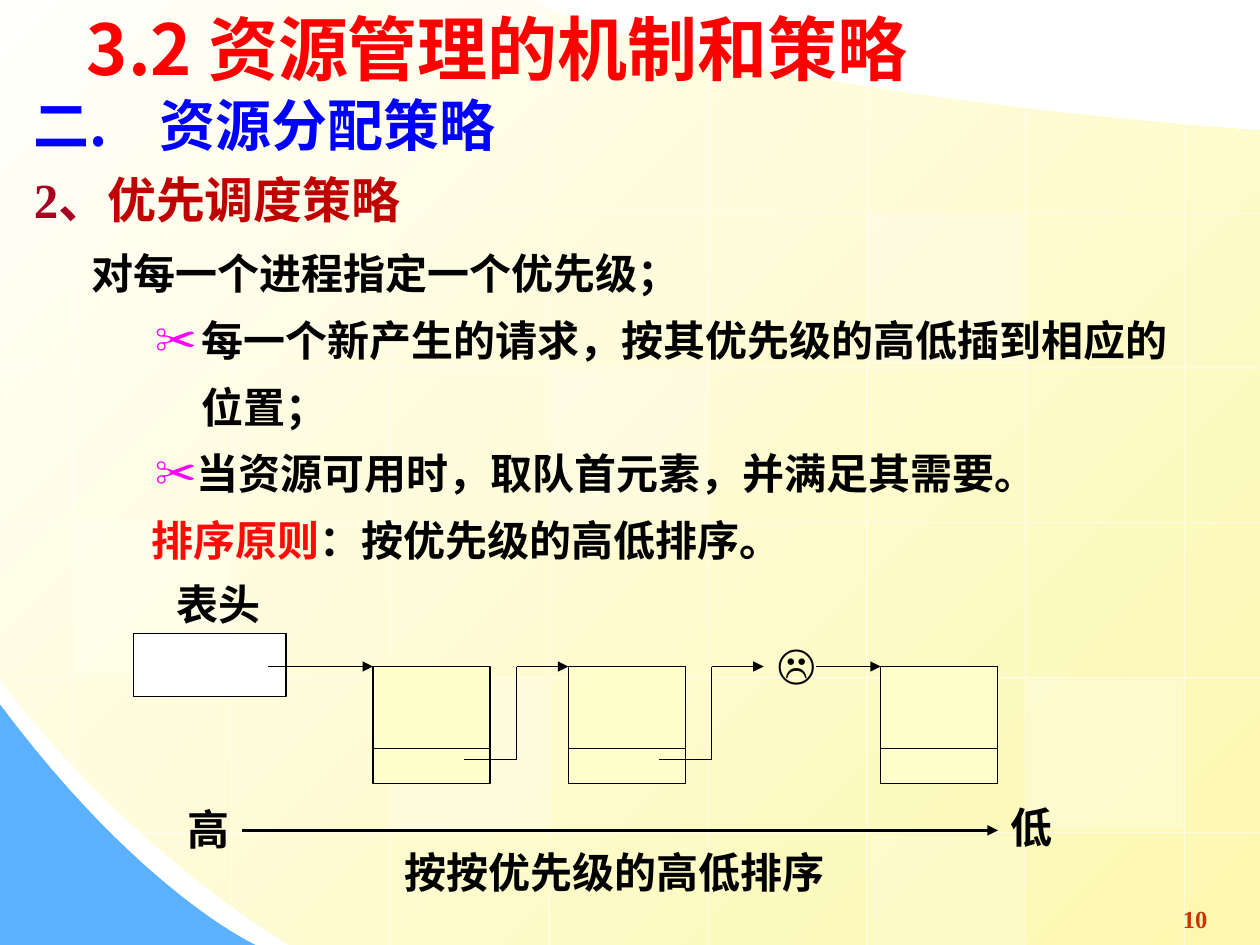
import pptx
import pptx.dml.color
import pptx.enum.dml
import pptx.enum.shapes
import pptx.enum.text
import pptx.oxml.ns
import pptx.util
from lxml import etree
from pptx.util import Inches

HAN = "Noto Sans CJK SC"
ROMAN = "Times New Roman"
SHAPES = pptx.enum.shapes.MSO_SHAPE
ANCHOR = pptx.enum.text.MSO_ANCHOR
qn = pptx.oxml.ns.qn


def color(hex_text):
    """Turn a hex string into a colour."""
    return pptx.dml.color.RGBColor.from_string(hex_text)


def set_alpha(shape, percent):
    """Make the colours of a shape partly transparent."""
    for node in shape.element.iter(qn("a:srgbClr")):
        etree.SubElement(node, qn("a:alpha"), val=str(percent * 1000))


def add_line(page, start, end, width=0.75, line="000000", arrow=False):
    """Draw a straight line, with an arrowhead at its end if asked."""
    points = [Inches(value) for value in (*start, *end)]
    connector = page.shapes.add_connector(pptx.enum.shapes.MSO_CONNECTOR.STRAIGHT, *points)
    connector.line.color.rgb = color(line)
    connector.line.width = pptx.util.Pt(width)
    if arrow:
        outline = connector.element.spPr.find(qn("a:ln"))
        etree.SubElement(outline, qn("a:tailEnd"), type="triangle")
    etree.SubElement(connector.element.spPr, qn("a:effectLst"))
    return connector


def add_rectangle(page, box, fill, line=None):
    """Draw a flat rectangle in a box of left, top, width and height."""
    shape = page.shapes.add_shape(SHAPES.RECTANGLE, *map(Inches, box))
    shape.shadow.inherit = False
    shape.fill.solid()
    shape.fill.fore_color.rgb = color(fill)
    if line:
        shape.line.color.rgb = color(line)
        shape.line.width = pptx.util.Pt(0.75)
    else:
        shape.line.fill.background()
    return shape


def add_outline(page, points):
    """Build a closed borderless outline from points in inches."""
    corners = [(Inches(x), Inches(y)) for x, y in points]
    builder = page.shapes.build_freeform(*corners[0], scale=1.0)
    builder.add_line_segments(corners[1:], close=True)
    shape = builder.convert_to_shape()
    shape.shadow.inherit = False
    shape.line.fill.background()
    return shape


def curve(*controls, steps=24):
    """Sample a cubic curve given by four control points."""
    weights = (1, 3, 3, 1)
    return [
        tuple(
            sum(w * (1 - t) ** (3 - k) * t ** k * controls[k][axis] for k, w in enumerate(weights))
            for axis in (0, 1)
        )
        for t in (step / steps for step in range(steps + 1))
    ]


def add_span(para, text, size, ink="000000", font=ROMAN, asian=HAN):
    """Append bold formatted text to a paragraph."""
    span = para.add_run()
    span.text = text
    span.font.size = pptx.util.Pt(size)
    span.font.bold = True
    span.font.name = font
    span.font.color.rgb = color(ink)
    etree.SubElement(span.font._element, qn("a:ea"), typeface=asian)


def set_layout(para, line_height, left=0, indent=0, bullet=None, tab=None):
    """Set line height, indents, bullet and tab stop of a paragraph."""
    para.alignment = pptx.enum.text.PP_ALIGN.LEFT
    para.line_spacing = pptx.util.Pt(line_height)
    para.space_before = pptx.util.Pt(0)
    properties = para._p.get_or_add_pPr()
    properties.set("marL", str(Inches(left)))
    properties.set("indent", str(Inches(indent)))
    if bullet:
        tint = etree.SubElement(properties, qn("a:buClr"))
        etree.SubElement(tint, qn("a:srgbClr"), val="FF00FF")
        etree.SubElement(properties, qn("a:buChar"), char=bullet)
    else:
        etree.SubElement(properties, qn("a:buNone"))
    if tab:
        stops = etree.SubElement(properties, qn("a:tabLst"))
        etree.SubElement(stops, qn("a:tab"), pos=str(Inches(tab)), algn="l")


def place(shape, box, anchor=ANCHOR.TOP, wrap=True):
    """Move a text shape to a box and return its text frame."""
    shape.left, shape.top, shape.width, shape.height = map(Inches, box)
    frame = shape.text_frame
    frame.word_wrap = wrap
    frame.auto_size = pptx.enum.text.MSO_AUTO_SIZE.NONE
    frame.vertical_anchor = anchor
    return frame


def add_label(page, box, text, size=24, ink="000000", anchor=ANCHOR.MIDDLE, font=ROMAN, asian=HAN):
    """Add a one-line label."""
    frame = place(page.shapes.add_textbox(0, 0, 0, 0), box, anchor, wrap=False)
    add_span(frame.paragraphs[0], text, size, ink, font, asian)


def add_backdrop(page, box):
    """Draw the curved yellow field, blue corner, grid and pale tiles."""
    left, top, width, height = box
    right, bottom = left + width, top + height
    field = add_outline(page, [
        (right, bottom),
        *curve((2.3, bottom), (0.86, 6.61), (left, 5.39), (left, 5.39)),
        (left, top),
        *curve((4.21, top), (4.21, top), (5.37, 0.69), (right, 1.04)),
    ])
    field.fill.gradient()
    field.fill.gradient_angle = 315
    for stop, shade, position in zip(field.fill.gradient_stops, ("FFFFFB", "FDF8AF"), (0, 1)):
        stop.color.rgb = color(shade)
        stop.position = position
    corner = add_outline(page, [
        (left, 5.59), (left, bottom),
        *curve((2.03, bottom), (2.03, bottom), (1.12, 7.09), (left, 5.59)),
    ])
    corner.fill.solid()
    corner.fill.fore_color.rgb = color("5CB1FE")
    starts = (top, top, top, top, 0.43, 0.68, 0.85, 0.98)
    ends = (6.09, 7.19) + (bottom,) * 6
    columns = [0.58 + 1.26 * index for index in range(8)]
    rows = [0.46 + 1.23 * index for index in range(6)]
    spans = [(left, 5.68)] + [(left, right)] * 4 + [(1.11, right)]
    grid = [((x, start), (x, end)) for x, start, end in zip(columns, starts, ends)]
    grid += [((start, y), (end, y)) for y, (start, end) in zip(rows, spans)]
    for start, end in grid:
        set_alpha(add_line(page, start, end, line="FFFFFF"), 50)
    tiles = ((4.38, 2.94, 1.18, 25), (8.16, 5.4, 1.18, 30), (0.6, 4.16, 1.18, 20),
             (6.9, 6.63, 0.87, 20), (3.11, 0, 0.44, 40), (3.12, 5.4, 1.18, 30),
             (6.89, 1.71, 1.18, 30))
    for x, y, tall, alpha in tiles:
        set_alpha(add_rectangle(page, (x, y, 1.23, tall), "FFFFFF"), alpha)


def fill_title(page, box):
    """Place the slide title above the backdrop."""
    title = page.shapes.title
    page.shapes.element.append(title.element)
    para = place(title, box, ANCHOR.MIDDLE).paragraphs[0]
    para.alignment = pptx.enum.text.PP_ALIGN.LEFT
    add_span(para, "3.2 资源管理的机制和策略", 40, "FF0000", HAN)


def add_headings(page, box):
    """Write the section and subsection headings."""
    frame = place(page.shapes.add_textbox(0, 0, 0, 0), box)
    section, topic = frame.paragraphs[0], frame.add_paragraph()
    set_layout(section, 40, tab=1)
    add_span(section, "二.\t资源分配策略", 32, "0000FF", HAN)
    set_layout(topic, 40)
    add_span(topic, "2、", 28, "A50021")
    add_span(topic, "优先调度策略", 28, "C00000")


def fill_body(page, box):
    """Write the list of scheduling rules in the body placeholder."""
    body = page.placeholders[1]
    page.shapes.element.append(body.element)
    frame = place(body, box)
    items = (
        (0.63, 0, None, [("对每一个进程指定一个优先级；", "000000")]),
        (1.5, -0.37, "✂", [("每一个新产生的请求，按其优先级的高低插到相应的位置；", "000000")]),
        (1.45, -0.32, "✂", [("当资源可用时，取队首元素，并满足其需要。", "000000")]),
        (1.1, 0, None, [("排序原则", "FF0909"), ("：按优先级的高低排序。", "000000")]),
    )
    for index, (left, indent, bullet, spans) in enumerate(items):
        para = frame.add_paragraph() if index else frame.paragraphs[0]
        set_layout(para, 38, left, indent, bullet)
        for text, ink in spans:
            add_span(para, text, 24, ink)


def add_queue(page, box):
    """Draw the linked queue from its head to its last node."""
    left, top, width, height = box
    y, size, step = top + 0.26, 0.93, 1.55
    first, last = left + 1.9, left + width - size
    add_rectangle(page, (left, top, 1.21, 0.5), "FFFFFF", "000000")
    add_label(page, (6.07, top - 0.02, 0.5, 0.36), "☹", anchor=ANCHOR.TOP, font="Arial", asian="Arial")
    for x in (first, first + step, last):
        add_rectangle(page, (x, y, size, size), "FFFFCC", "000000")
        add_line(page, (x, y + 0.65), (x + size, y + 0.65))
    for x in (first, first + step):
        bend = x + 1.14
        add_line(page, (x + 0.72, y + 0.74), (bend, y + 0.74))
        add_line(page, (bend, y), (bend, y + 0.74))
        add_line(page, (bend, y), (x + step, y), 1, arrow=True)
    add_line(page, (left + 1.07, y), (first, y), 1, arrow=True)
    add_line(page, (last - 0.51, y), (last, y), 1, arrow=True)
    add_label(page, (left + 0.24, top - 0.49, 1.14, 0.5), "表头")


def add_scale(page, box):
    """Draw the arrow from high to low priority with its labels."""
    left, top, width, height = box
    add_line(page, (left + 0.53, top + 0.26), (left + 6.53, top + 0.26), 2, arrow=True)
    add_label(page, (left, top, 0.62, 0.5), "高")
    add_label(page, (left + 6.53, top - 0.02, 0.62, 0.5), "低")
    add_label(page, (left + 1.72, top + 0.34, 3.83, 0.5), "按按优先级的高低排序")


def main():
    """Build the slide and save it."""
    deck = pptx.Presentation()
    deck.slide_width, deck.slide_height = Inches(10), Inches(7.5)
    page = deck.slides.add_slide(deck.slide_layouts[1])
    add_backdrop(page, (0, 0, 10, 7.5))
    fill_title(page, (0.59, 0, 9, 0.76))
    add_headings(page, (0.17, 0.65, 9.24, 1.2))
    fill_body(page, (0, 1.79, 9.5, 2.72))
    add_queue(page, (1.06, 5.03, 6.86, 1.19))
    add_scale(page, (1.39, 6.33, 7.15, 0.84))
    add_label(page, (9.29, 7.12, 0.41, 0.34), "10", 14, "CC3300")
    deck.save("out.pptx")


if __name__ == "__main__":
    main()
